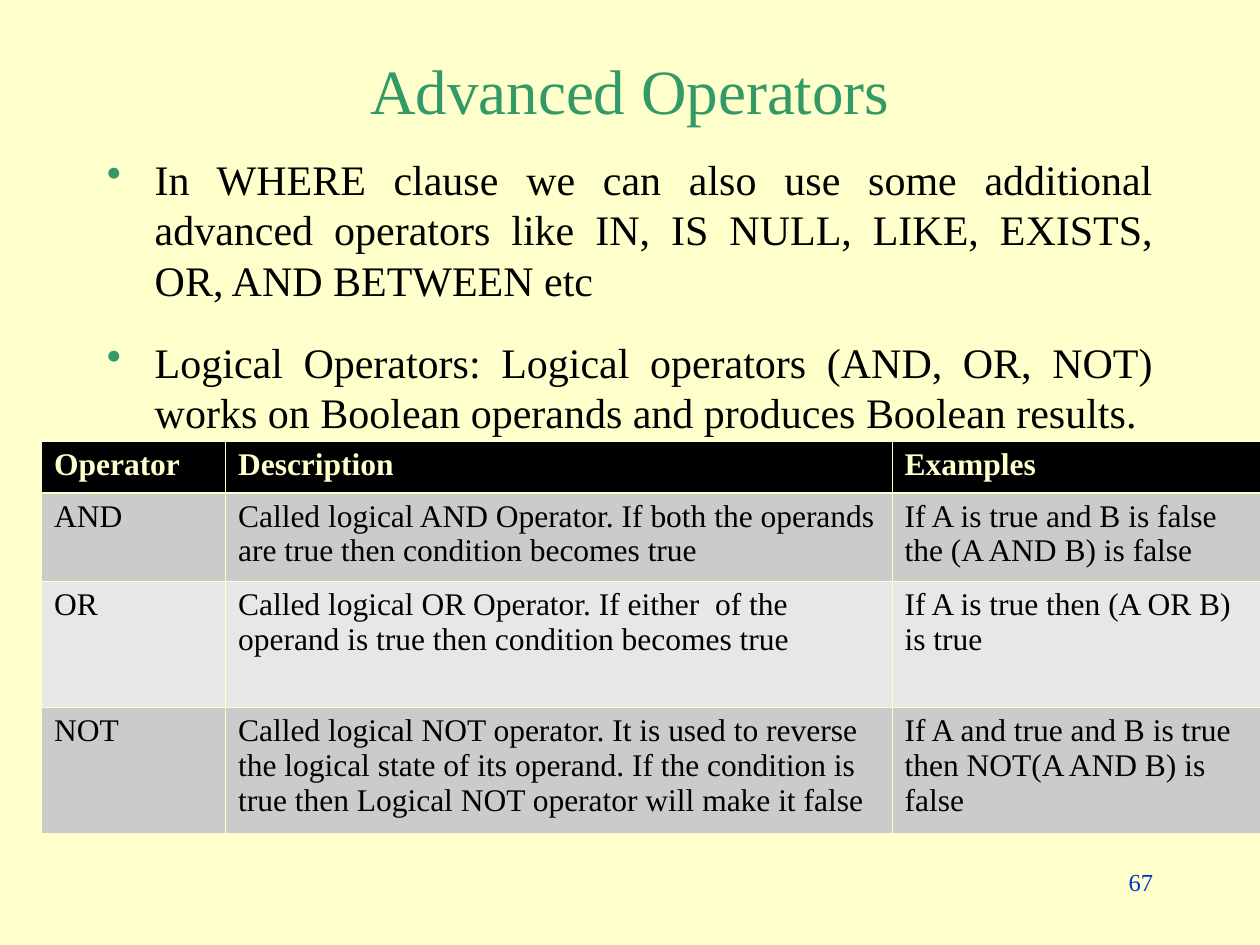
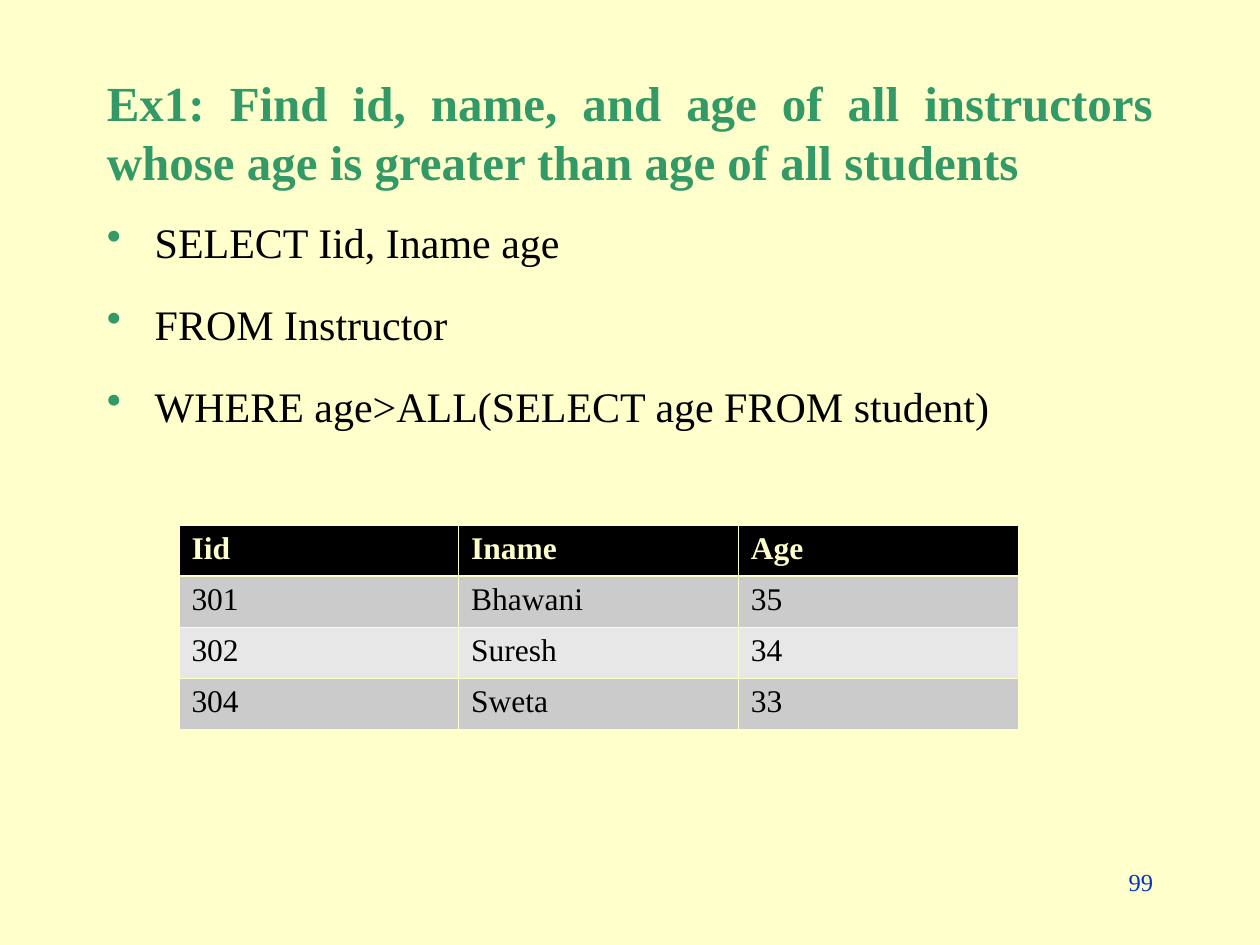
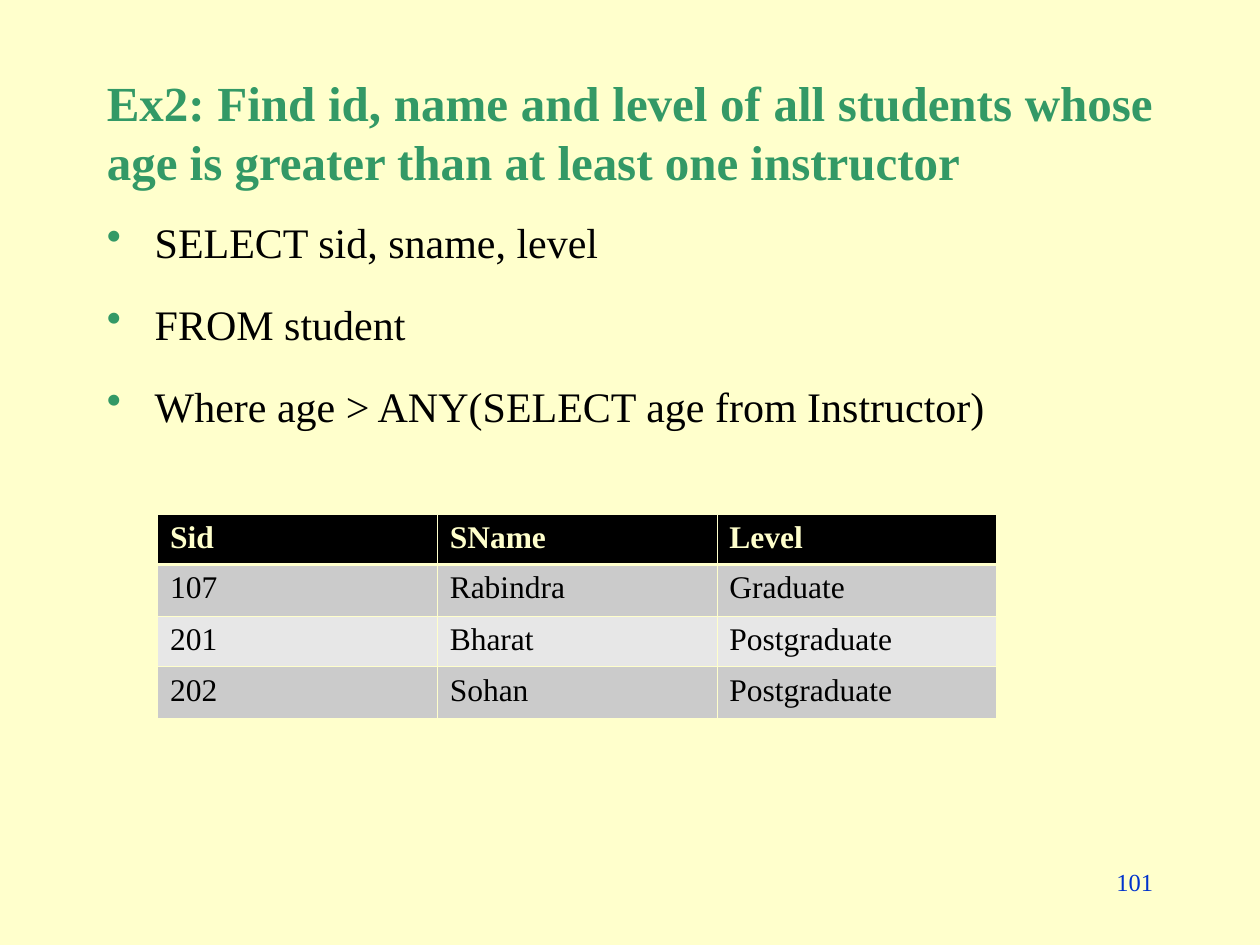
"""Build three slides about advanced SQL operators."""
import dataclasses

import lxml.etree
import pptx
import pptx.dml.color
import pptx.enum.text
import pptx.oxml.ns
import pptx.util

Inches = pptx.util.Inches
Pt = pptx.util.Pt
Align = pptx.enum.text.PP_ALIGN
Anchor = pptx.enum.text.MSO_ANCHOR


@dataclasses.dataclass(frozen=True)
class Theme:
    """Hold the colours, type sizes and spacing of the deck."""
    font: str = "Times New Roman"
    paper: str = "FFFFCC"
    accent: str = "339966"
    ink: str = "000000"
    number: str = "0033CC"
    bands: tuple = ("CBCBCB", "E7E7E7")
    title_size: int = 36
    question_size: int = 28
    body_size: int = 24
    table_size: int = 18
    number_size: int = 14
    bullet_gap: int = 18
    bullet_indent: float = 0.38
    thin_line: float = 0.45
    header_line: float = 1.47


THEME = Theme()


def rgb(colour):
    """Turn a hex string into a colour."""
    return pptx.dml.color.RGBColor.from_string(colour)


def add_element(parent, tag, **attributes):
    """Append a drawing element with the given attributes."""
    element = lxml.etree.SubElement(parent, pptx.oxml.ns.qn(tag))
    for name, value in attributes.items():
        element.set(name, str(value))
    return element


def style_paragraph(para, size, colour, bold=False, align=Align.LEFT):
    """Set the alignment and type of a paragraph."""
    para.alignment = align
    for span in para.runs:
        span.font.name = THEME.font
        span.font.size = Pt(size)
        span.font.bold = bold
        span.font.color.rgb = rgb(colour)


def add_box(page, left, top, width, height, anchor=Anchor.TOP):
    """Add a wrapping text box and return its text frame."""
    box = page.shapes.add_textbox(
        Inches(left), Inches(top), Inches(width), Inches(height))
    frame = box.text_frame
    frame.word_wrap = True
    frame.vertical_anchor = anchor
    return frame


def add_title(page, text):
    """Add a centred topic title."""
    frame = add_box(page, 0.75, 0.42, 8.5, 0.58, Anchor.MIDDLE)
    frame.text = text
    style_paragraph(frame.paragraphs[0], THEME.title_size, THEME.accent,
                    align=Align.CENTER)


def add_question(page, text):
    """Add a bold, justified exercise title."""
    frame = add_box(page, 0.75, 0.67, 8.5, 0.75, Anchor.MIDDLE)
    frame.text = text
    style_paragraph(frame.paragraphs[0], THEME.question_size, THEME.accent,
                    bold=True, align=Align.JUSTIFY)


def add_bullet(para):
    """Give a paragraph a coloured bullet and a hanging indent."""
    properties = para._p.get_or_add_pPr()
    indent = Inches(THEME.bullet_indent)
    properties.set("marL", str(indent))
    properties.set("indent", str(-indent))
    colour = add_element(properties, "a:buClr")
    add_element(colour, "a:srgbClr", val=THEME.accent)
    add_element(properties, "a:buChar", char="•")


def add_bullets(page, top, height, lines, align=Align.LEFT):
    """Add a bulleted list below the title."""
    frame = add_box(page, 0.75, top, 8.5, height)
    for index, line in enumerate(lines):
        para = frame.add_paragraph() if index else frame.paragraphs[0]
        para.text = line
        add_bullet(para)
        if index:
            para.space_before = Pt(THEME.bullet_gap)
        style_paragraph(para, THEME.body_size, THEME.ink, align=align)


def add_page_number(page, number):
    """Add the page number at the lower right."""
    frame = add_box(page, 7.17, 6.83, 2.08, 0.5)
    frame.text = str(number)
    style_paragraph(frame.paragraphs[0], THEME.number_size, THEME.number,
                    align=Align.RIGHT)


def add_borders(cell, row_index):
    """Draw cell borders, heavier between the header and the body."""
    properties = cell._tc.get_or_add_tcPr()
    heavy_side = {0: "B", 1: "T"}.get(row_index)
    for side in "LRTB":
        width = THEME.header_line if side == heavy_side else THEME.thin_line
        line = add_element(properties, f"a:ln{side}", w=Pt(width))
        fill = add_element(line, "a:solidFill")
        add_element(fill, "a:srgbClr", val=THEME.paper)


def style_cell(cell, row_index):
    """Set the borders, fill and type of a table cell."""
    header = row_index == 0
    add_borders(cell, row_index)
    cell.fill.solid()
    cell.fill.fore_color.rgb = rgb(
        THEME.ink if header else THEME.bands[(row_index - 1) % 2])
    style_paragraph(cell.text_frame.paragraphs[0], THEME.table_size,
                    THEME.paper if header else THEME.ink, bold=header)


def add_data_table(page, left, top, widths, heights, rows):
    """Add a table with a dark header and grey bands."""
    table = page.shapes.add_table(
        len(rows), len(widths), Inches(left), Inches(top),
        Inches(sum(widths)), Inches(sum(heights))).table
    for column, width in zip(table.columns, widths):
        column.width = Inches(width)
    for row, height in zip(table.rows, heights):
        row.height = Inches(height)
    for row_index, values in enumerate(rows):
        for column_index, value in enumerate(values):
            cell = table.cell(row_index, column_index)
            cell.text_frame.text = value
            style_cell(cell, row_index)


def add_page(deck):
    """Add a page on the blank layout."""
    return deck.slides.add_slide(deck.slide_layouts[6])


def add_operators_page(deck):
    """Add the page that explains the logical operators."""
    page = add_page(deck)
    add_title(page, "Advanced Operators")
    add_bullets(page, 1.17, 5.5, [
        "In WHERE clause we can also use some additional advanced operators "
        "like IN, IS NULL, LIKE, EXISTS, OR, AND BETWEEN etc",
        "Logical Operators: Logical operators (AND, OR, NOT) works on Boolean "
        "operands and produces Boolean results.",
    ], Align.JUSTIFY)
    add_page_number(page, 67)
    add_data_table(page, 0.33, 3.5, [1.46, 5.29, 3], [0.41, 0.7, 1, 1], [
        ("Operator", "Description", "Examples"),
        ("AND",
         "Called logical AND Operator. If both the operands are true then "
         "condition becomes true",
         "If A is true and B is false the (A AND B) is false"),
        ("OR",
         "Called logical OR Operator. If either  of the operand is true then "
         "condition becomes true",
         "If A is true then (A OR B) is true"),
        ("NOT",
         "Called logical NOT operator. It is used to reverse the logical state "
         "of its operand. If the condition is true then Logical NOT operator "
         "will make it false",
         "If A and true and B is true then NOT(A AND B) is false"),
    ])


def add_exercise_page(deck, number, question, query, left, top, rows):
    """Add a page with a question, its query and the result table."""
    page = add_page(deck)
    add_question(page, question)
    add_bullets(page, 1.67, 5, query)
    add_page_number(page, number)
    add_data_table(page, left, top, [2.22] * 3, [0.4, 0.41] * 2, rows)


def main():
    """Build the deck and save it."""
    deck = pptx.Presentation()
    deck.slide_width = Inches(10)
    deck.slide_height = Inches(7.5)
    background = deck.slide_master.background.fill
    background.solid()
    background.fore_color.rgb = rgb(THEME.paper)

    add_operators_page(deck)
    add_exercise_page(
        deck, 99,
        "Ex1: Find id, name, and age of all instructors whose age is greater "
        "than age of all students",
        ["SELECT Iid, Iname age",
         "FROM Instructor",
         "WHERE age>ALL(SELECT age FROM student)"],
        1.42, 4.17,
        [("Iid", "Iname", "Age"),
         ("301", "Bhawani", "35"),
         ("302", "Suresh", "34"),
         ("304", "Sweta", "33")])
    add_exercise_page(
        deck, 101,
        "Ex2: Find id, name and level of all students whose age is greater "
        "than at least one instructor",
        ["SELECT sid, sname, level",
         "FROM student",
         "Where age > ANY(SELECT age from Instructor)"],
        1.25, 4.08,
        [("Sid", "SName", "Level"),
         ("107", "Rabindra", "Graduate"),
         ("201", "Bharat", "Postgraduate"),
         ("202", "Sohan", "Postgraduate")])
    deck.save("out.pptx")


if __name__ == "__main__":
    main()
